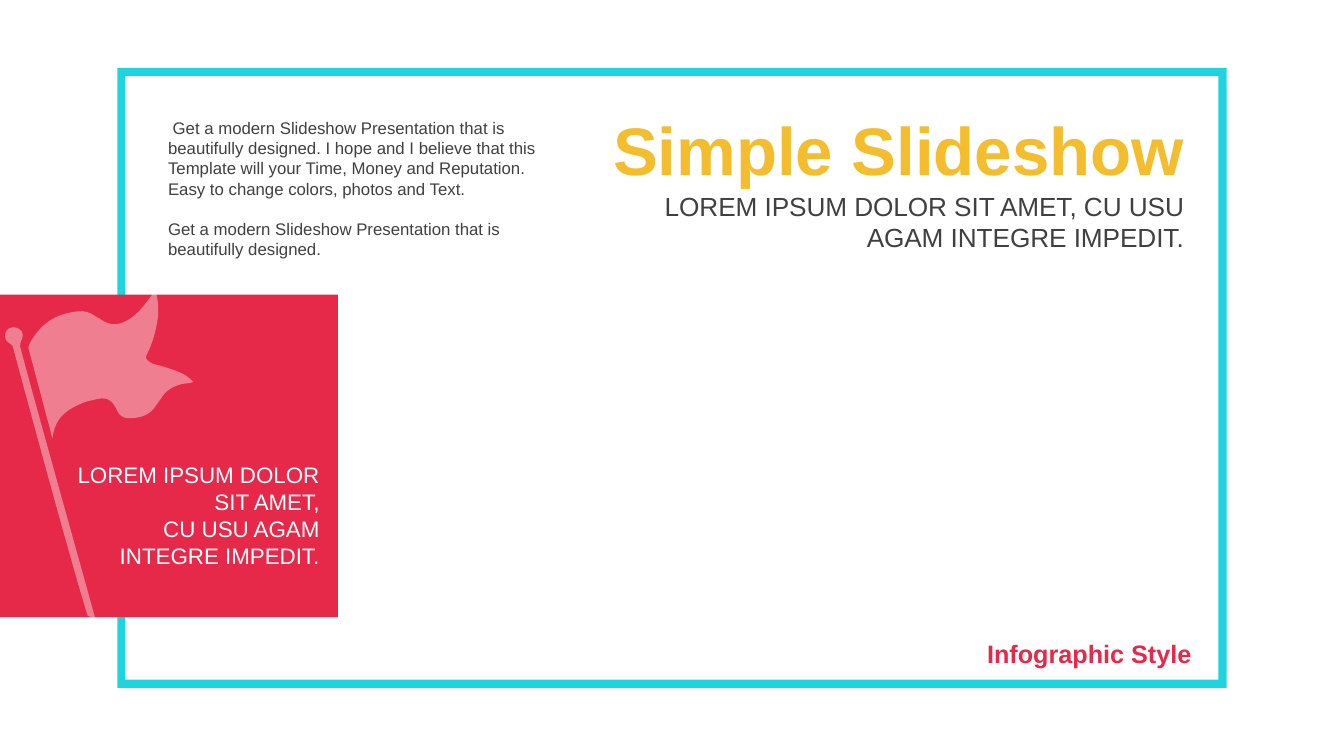
from dataclasses import dataclass

from lxml import etree
from pptx import Presentation
from pptx.dml.color import RGBColor
from pptx.enum.shapes import MSO_SHAPE
from pptx.enum.text import MSO_ANCHOR, PP_ALIGN
from pptx.oxml.ns import qn
from pptx.util import Pt

RIGHT, LEFT = PP_ALIGN.RIGHT, PP_ALIGN.LEFT
MIDDLE, TOP = MSO_ANCHOR.MIDDLE, MSO_ANCHOR.TOP
FRAME, RECT = MSO_SHAPE.FRAME, MSO_SHAPE.RECTANGLE

CYAN = RGBColor(0x1E, 0xD4, 0xDE)
RED = RGBColor(0xE6, 0x29, 0x49)
GOLD = RGBColor(0xF4, 0xBD, 0x2D)
GREY = RGBColor(0x40, 0x40, 0x40)
WHITE = RGBColor(0xFF, 0xFF, 0xFF)

FONT = "Arial"
UNIT = 0.72  # points per unit of the outlines below


@dataclass
class Outline:
    """A start point and cubic curves, each two controls and an end."""
    start: tuple[int, int]
    curves: list[tuple[int, ...]]


CLOTH = Outline((192, 379), [
    (187, 381, 182, 380, 177, 382), (171, 384, 166, 387, 162, 392),
    (160, 395, 158, 398, 155, 402), (149, 412, 139, 415, 128, 415),
    (122, 415, 118, 412, 116, 407), (111, 396, 106, 393, 92, 397),
    (85, 398, 79, 401, 73, 404), (60, 411, 54, 420, 52, 435),
    (50, 428, 49, 422, 47, 416), (41, 393, 35, 371, 29, 348),
    (28, 346, 28, 344, 29, 342), (39, 322, 55, 311, 77, 309),
    (84, 308, 90, 310, 95, 314), (97, 315, 99, 316, 100, 317),
    (109, 323, 117, 323, 126, 318), (137, 312, 144, 302, 152, 291),
    (152, 290, 153, 289, 154, 288), (157, 296, 157, 304, 157, 313),
    (155, 327, 152, 340, 145, 353), (144, 355, 145, 356, 147, 358),
    (150, 361, 155, 362, 160, 363), (169, 366, 177, 368, 185, 373),
    (188, 375, 190, 377, 192, 379),
])
POLE = Outline((5, 333), [
    (5, 329, 7, 326, 11, 325), (14, 324, 18, 325, 21, 328),
    (23, 330, 23, 335, 21, 338), (19, 340, 21, 342, 20, 344),
    (32, 390, 94, 611, 94, 612), (91, 612, 89, 612, 87, 611),
    (73, 567, 25, 390, 13, 345), (13, 343, 12, 342, 10, 341),
    (7, 339, 5, 337, 5, 333),
])


@dataclass
class Label:
    box: tuple[float, float, float, float]
    lines: list[str]
    size: float
    color: RGBColor
    bold: bool = False
    align: PP_ALIGN = RIGHT
    anchor: MSO_ANCHOR = MIDDLE
    gap: float = 0
    indent: float = 0


LABELS = [
    Label((41, 325.4, 194.4, 85), ["LOREM IPSUM DOLOR SIT AMET,",
          "CU USU AGAM INTEGRE IMPEDIT."], 16, WHITE),
    Label((608.4, 452.2, 249.8, 28.8), ["Infographic Style"], 18, RED,
          bold=True, anchor=TOP),
    Label((437.8, 131.8, 414.7, 52.6),
          ["LOREM IPSUM DOLOR SIT AMET, CU USU AGAM INTEGRE IMPEDIT."],
          18.67, GREY),
    Label((398.9, 73.4, 454.3, 65.5), ["Simple Slideshow"], 48, GOLD,
          bold=True),
    Label((113, 80.6, 290.2, 108.7),
          ["Get a modern Slideshow Presentation that is beautifully "
           "designed. I hope and I believe that this Template will your "
           "Time, Money and Reputation. Easy to change colors, photos and "
           "Text.",
           "Get a modern Slideshow Presentation that is beautifully "
           "designed."],
          12, GREY, align=LEFT, anchor=TOP, gap=14.4, indent=3.3),
]


def paint(shape, color: RGBColor) -> None:
    shape.fill.solid()
    shape.fill.fore_color.rgb = color
    shape.line.fill.background()
    shape.shadow.inherit = False


def add_block(slide, kind: MSO_SHAPE, box: tuple, color: RGBColor):
    shape = slide.shapes.add_shape(kind, *map(Pt, box))
    paint(shape, color)
    return shape


def add_text(slide, box: tuple, lines: list[str], *, size: float,
             color: RGBColor, bold: bool, align: PP_ALIGN,
             anchor: MSO_ANCHOR, gap: float, indent: float) -> None:
    """Gap parts the paragraphs; indent shifts the very first line."""
    frame = slide.shapes.add_textbox(*map(Pt, box)).text_frame
    frame.word_wrap = True
    frame.vertical_anchor = anchor
    for i, line in enumerate(lines):
        para = frame.add_paragraph() if i else frame.paragraphs[0]
        if i and gap:
            para.space_before = Pt(gap)
        elif indent:
            para._p.get_or_add_pPr().set("indent", str(Pt(indent)))
        para.alignment = align
        run = para.add_run()
        run.text = line
        font = run.font
        font.name, font.size, font.bold = FONT, Pt(size), bold
        font.color.rgb = color


def bend(shape) -> None:
    """Turn each three straight segments into one cubic curve."""
    track = next(shape._element.iter(qn("a:path")))
    legs = track.findall(qn("a:lnTo"))
    for i in range(0, len(legs), 3):
        curve = etree.Element(qn("a:cubicBezTo"))
        track.insert(track.index(legs[i]), curve)
        for leg in legs[i:i + 3]:
            curve.append(leg[0])
            track.remove(leg)


def add_outline(group, outline: Outline, color: RGBColor,
                alpha: int) -> None:
    flat = [Pt(n * UNIT) for curve in outline.curves for n in curve]
    pen = group.shapes.build_freeform(*(Pt(n * UNIT) for n in outline.start))
    pen.add_line_segments(list(zip(flat[::2], flat[1::2])), close=True)
    shape = pen.convert_to_shape()
    bend(shape)
    paint(shape, color)
    tint = shape._element.spPr.find(qn("a:solidFill"))[0]
    etree.SubElement(tint, qn("a:alpha")).set("val", str(alpha * 1000))


def main() -> None:
    deck = Presentation()
    deck.slide_width, deck.slide_height = Pt(960), Pt(540)
    slide = deck.slides.add_slide(deck.slide_layouts[6])
    border = add_block(slide, FRAME, (83.8, 48.5, 792.3, 442.8), CYAN)
    border.adjustments[0] = 0.013
    add_block(slide, RECT, (0, 210.4, 241.4, 230.4), RED)
    for label in LABELS:
        add_text(slide, label.box, label.lines, size=label.size,
                 color=label.color, bold=label.bold, align=label.align,
                 anchor=label.anchor, gap=label.gap, indent=label.indent)
    flag = slide.shapes.add_group_shape()
    for part in (CLOTH, POLE):
        add_outline(flag, part, WHITE, alpha=40)
    deck.save("out.pptx")


if __name__ == "__main__":
    main()
